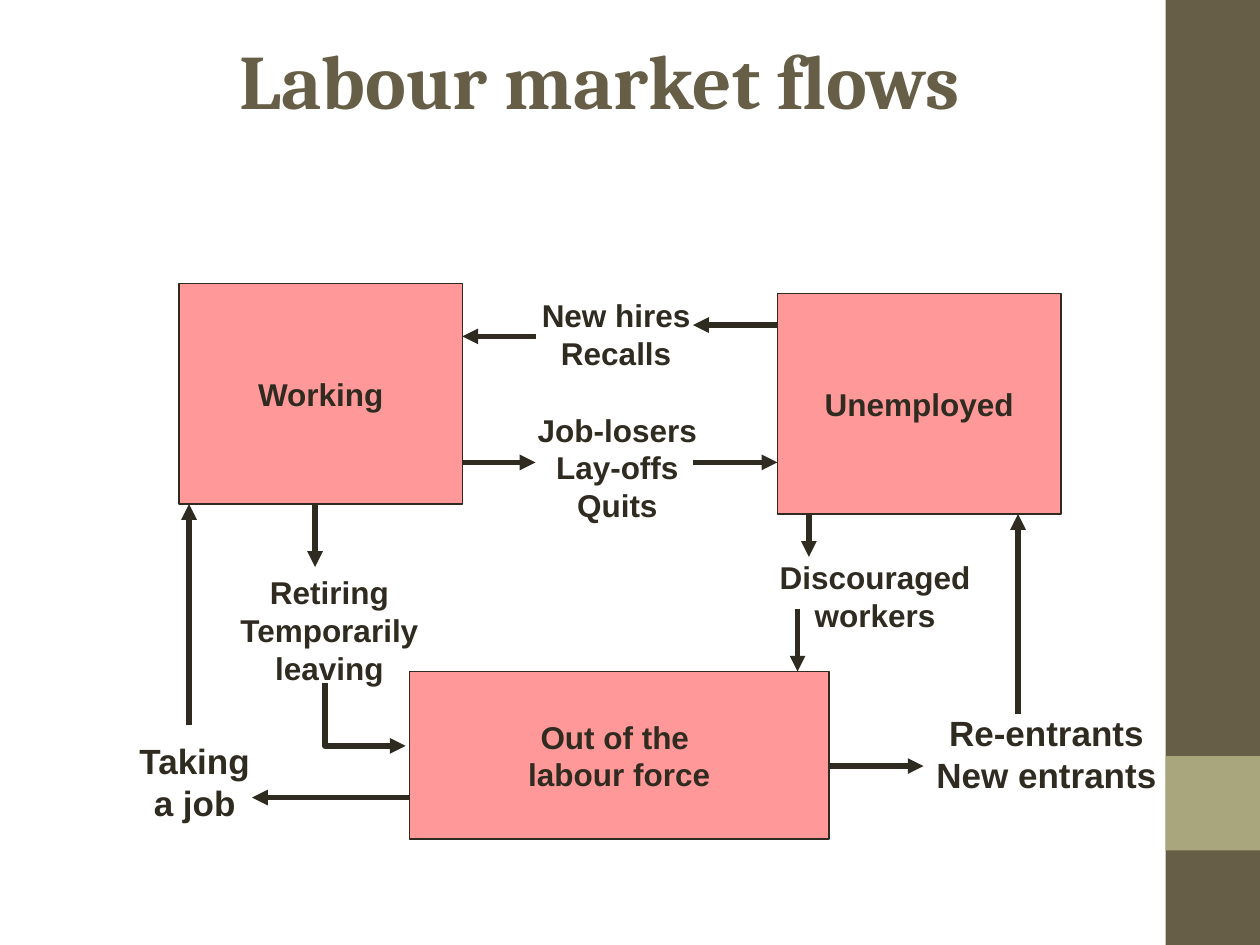
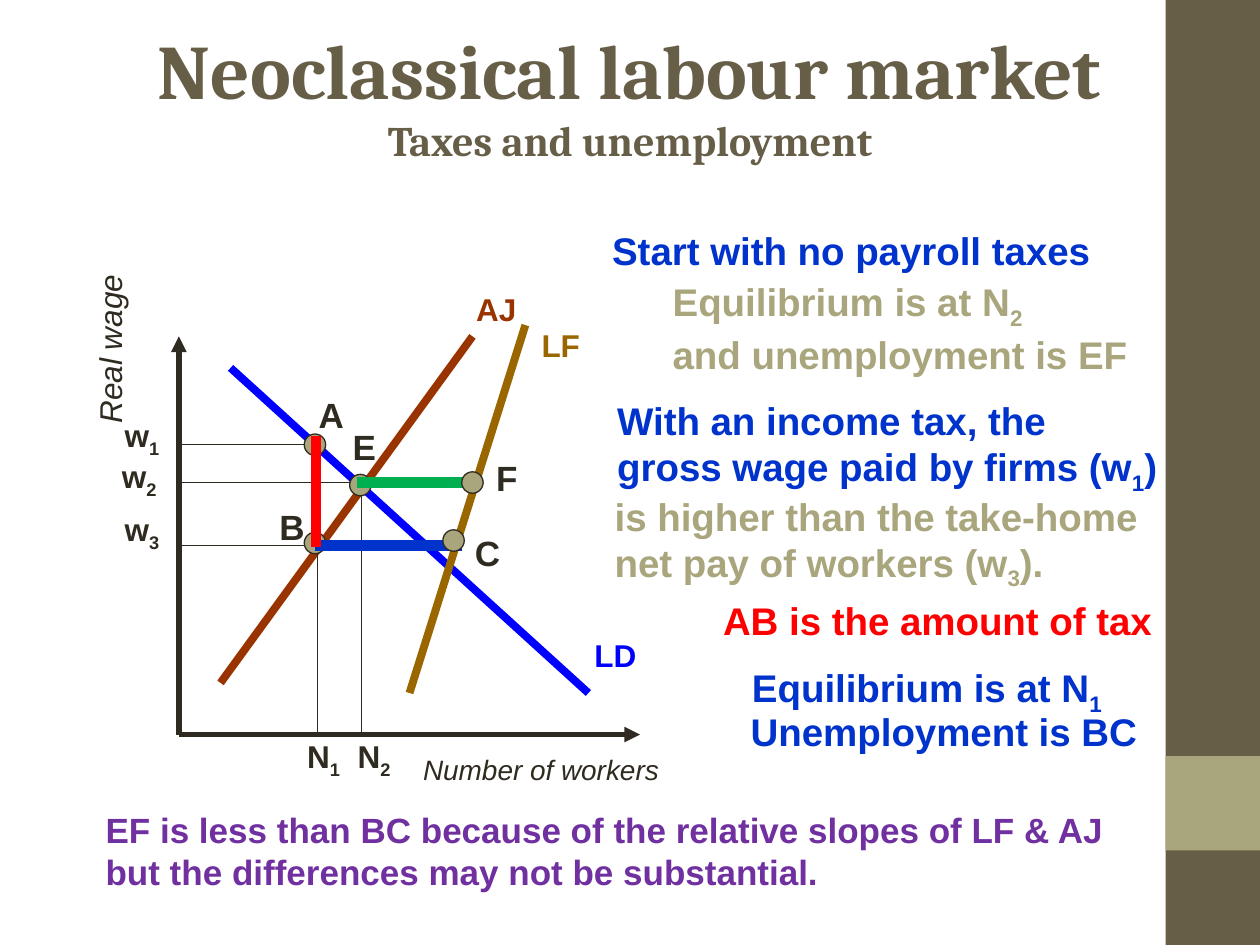
from dataclasses import dataclass

from lxml.etree import SubElement
from pptx import Presentation
from pptx.dml.color import RGBColor
from pptx.enum.shapes import MSO_CONNECTOR as Connector, MSO_SHAPE as Shape
from pptx.enum.text import MSO_ANCHOR as Anchor, PP_ALIGN as Align
from pptx.oxml.ns import qn
from pptx.slide import Slide
from pptx.util import Inches, Pt

COLORS = {
    "ink": "2F2B20", "brown": "675E47", "sage": "A9A57C", "pink": "FF9999",
    "demand": "0000FF", "force": "996600", "accept": "993300",
    "blue": "0033CC", "green": "00B050", "red": "FF0000", "purple": "7030A0",
}
BODY_FONT, TITLE_FONT = "Arial", "Cambria"
DOT = 0.17
SLACK = 0.2  # spare label width, so that no line breaks


def rgb(color):
    return RGBColor.from_string(COLORS[color])


def write(frame, lines, sizes, color, font=BODY_FONT, align=Align.LEFT, italic=False):
    """Write one paragraph per line; an underscore lowers the next character."""
    for number, (line, size) in enumerate(zip(lines, sizes)):
        paragraph = frame.paragraphs[0] if number == 0 else frame.add_paragraph()
        paragraph.alignment = align
        head, *lowered = line.split("_")
        pieces = [(head, False)]
        for part in lowered:
            pieces += [(part[0], True), (part[1:], False)]
        for text, is_subscript in pieces:
            if not text:
                continue
            run = paragraph.add_run()
            run.text = text
            run.font.name, run.font.size = font, Pt(size)
            run.font.bold, run.font.italic = not italic, italic
            run.font.color.rgb = rgb(color)
            if is_subscript:
                run.font._element.set("baseline", "-25000")


@dataclass
class Region:
    """An area of a slide; every part is placed from its top left corner."""
    slide: Slide
    left: float
    top: float

    def at(self, x, y):
        return Inches(self.left + x), Inches(self.top + y)

    def label(self, x, y, width, height, lines, size=18, color="ink",
              align=Align.LEFT, italic=False):
        if align == Align.CENTER:
            x -= SLACK / 2
        label = self.slide.shapes.add_textbox(
            *self.at(x, y), Inches(width + SLACK), Inches(height))
        label.text_frame.word_wrap = True
        write(label.text_frame, lines, [size] * len(lines), color, align=align, italic=italic)
        return label

    def block(self, x, y, width, height, fill, kind=Shape.RECTANGLE, outline=None):
        block = self.slide.shapes.add_shape(kind, *self.at(x, y), Inches(width), Inches(height))
        block.shadow.inherit = False
        block.fill.solid()
        block.fill.fore_color.rgb = rgb(fill)
        if outline:
            block.line.color.rgb = rgb(outline)
            block.line.width = Pt(0.75)
        else:
            block.line.fill.background()
        return block

    def dot(self, x, y):
        self.block(x - DOT / 2, y - DOT / 2, DOT, DOT, "sage", Shape.OVAL, "ink")

    def line(self, x1, y1, x2, y2, color="ink", width=3.0, arrow=False,
             kind=Connector.STRAIGHT):
        line = self.slide.shapes.add_connector(kind, *self.at(x1, y1), *self.at(x2, y2))
        line.line.color.rgb = rgb(color)
        line.line.width = Pt(width)
        if arrow:
            SubElement(line.line._get_or_add_ln(), qn("a:tailEnd"), type="triangle")
        SubElement(line._element.spPr, qn("a:effectLst"))
        return line

    def down_then_right(self, x1, y1, x2, y2):
        """Elbow arrow: a one-corner connector, mirrored and turned by 270 degrees."""
        middle_x, middle_y = (x1 + x2) / 2, (y1 + y2) / 2
        half_width, half_height = (y2 - y1) / 2, (x2 - x1) / 2
        elbow = self.line(middle_x + half_width, middle_y - half_height,
                          middle_x - half_width, middle_y + half_height,
                          arrow=True, kind=Connector.ELBOW)
        properties = elbow._element.spPr
        properties.find(qn("a:xfrm")).set("rot", "16200000")
        properties.find(qn("a:prstGeom")).set("prst", "bentConnector2")


def side_band(slide):
    band = Region(slide, 9.25, 0)
    band.block(0, 0, 0.75, 7.5, "brown")
    band.block(0, 6, 0.75, 0.75, "sage")


def title(slide, left, top, lines):
    heading = slide.shapes.add_textbox(Inches(left), Inches(top), Inches(8.5), Inches(1.21))
    heading.text_frame.word_wrap = True
    write(heading.text_frame, lines, [44, 24], "brown", TITLE_FONT, Align.CENTER)


def flow_diagram(slide, left, top):
    flows = Region(slide, left, top)

    # Labour market states
    states = [
        (0.42, 0, 2.25, 1.75, ["Working"]),
        (5.17, 0.08, 2.25, 1.75, ["Unemployed"]),
        (2.25, 3.08, 3.33, 1.33, ["Out of the ", "labour force"]),
    ]
    for *box, lines in states:
        state = flows.block(*box, "pink", outline="ink")
        state.text_frame.word_wrap = False
        state.text_frame.vertical_anchor = Anchor.MIDDLE
        write(state.text_frame, lines, [18] * len(lines), "ink", align=Align.CENTER)

    # Reasons for moving between states
    reasons = [
        (0, 3.57, 1.09, 0.77, ["Taking", "a job"], 20),
        (0.8, 2.25, 1.63, 1, ["Retiring", "Temporarily", "leaving"], 18),
        (3.2, 0.05, 1.38, 0.7, ["New hires", "Recalls"], 18),
        (3.17, 0.96, 1.46, 1, ["Job-losers", "Lay-offs", "Quits"], 18),
        (6.33, 3.35, 1.95, 0.77, ["Re-entrants", "New entrants"], 20),
        (5.09, 2.13, 1.71, 0.7, ["Discouraged", "workers"], 18),
    ]
    for reason in reasons:
        flows.label(*reason, align=Align.CENTER)

    # Arrows
    arrows = [
        (2.25, 4.08, 1, 4.08), (0.5, 3.5, 0.5, 1.75),          # taking a job
        (1.5, 1.75, 1.5, 2.25),                                # retiring
        (2.67, 1.42, 3.25, 1.42), (4.5, 1.42, 5.17, 1.42),     # losing a job
        (5.17, 0.33, 4.5, 0.33), (3.25, 0.42, 2.67, 0.42),     # new hires
        (5.42, 1.83, 5.42, 2.17), (5.33, 2.58, 5.33, 3.08),    # discouraged
        (5.58, 3.83, 6.33, 3.83), (7.08, 3.42, 7.08, 1.83),    # entrants
    ]
    for arrow in arrows:
        flows.line(*arrow, arrow=True)
    flows.down_then_right(1.58, 3.17, 2.22, 3.67)


def wage_graph(slide, left, top):
    graph = Region(slide, left, top)
    floor = 3.16

    # Axes
    graph.line(0, floor, 3.66, floor, arrow=True)
    graph.line(0, floor, 0, 0, arrow=True)
    graph.label(1.84, 3.25, 2.07, 0.37, ["Number of workers"], 16, italic=True)
    graph.label(-1.34, -0.2, 1.38, 0.4, ["Real wage"], italic=True).rotation = 270

    # Curves with their names
    curves = [
        ("LD", "demand", (0.41, 0.25, 3.25, 2.83), (3.2, 2.33, 0.53)),
        ("LF", "force", (1.83, 2.83, 2.75, -0.09), (2.78, -0.13, 0.5)),
        ("AJ", "accept", (0.33, 2.75, 2.33, 0), (2.26, -0.42, 0.52)),
    ]
    for name, color, ends, place in curves:
        graph.line(*ends, color, 4.5)
        graph.label(*place, 0.4, [name], color=color)

    # Guide lines to the axes
    guides = [
        (0, 0.86, 1.08, 0.86), (0, 1.16, 2.33, 1.16), (0, 1.66, 2.25, 1.66),
        (1.1, floor, 1.1, 0.91), (1.45, floor, 1.45, 1.16),
    ]
    for guide in guides:
        graph.line(*guide, width=0.75)
    ticks = [("w_1", -0.53, 0.58), ("w_2", -0.55, 0.91), ("w_3", -0.53, 1.33),
             ("N_1", 0.92, 3.13), ("N_2", 1.32, 3.13)]
    for name, x, y in ticks:
        graph.label(x, y, 0.47, 0.44, [name])

    # Points and the gaps between them, from back to front
    for point in [(1.44, 1.18), (1.08, 0.86), (1.08, 1.64)]:
        graph.dot(*point)
    graph.line(1.08, 1.66, 2.25, 1.66, "blue", 6)
    graph.dot(2.18, 1.62)
    graph.line(1.41, 1.16, 2.33, 1.16, "green", 6)
    graph.dot(2.33, 1.16)
    graph.line(1.09, 0.79, 1.09, 1.67, "red", 6)
    names = [("A", 1.01, 0.4), ("B", 0.7, 1.29), ("C", 2.25, 1.5),
             ("E", 1.28, 0.66), ("F", 2.42, 0.9)]
    for name, x, y in names:
        graph.label(x, y, 0.4, 0.44, [name], 20)


def tax_argument(slide, left, top):
    argument = Region(slide, left, top)
    steps = [
        (0, 0, 4.51, 0.47, "blue", ["Start with no payroll taxes"]),
        (0.48, 0.41, 4.09, 0.89, "sage",
         ["Equilibrium is at N_2", "and unemployment is EF"]),
        (0.04, 1.35, 4.48, 0.89, "blue",
         ["With an income tax, the", "gross wage paid by firms (w_1)"]),
        (0.02, 2.11, 4.43, 0.89, "sage",
         ["is higher than the take-home", "net pay of workers (w_3)."]),
        (0.88, 2.94, 3.6, 0.47, "red", ["AB is the amount of tax"]),
        (1.11, 3.47, 2.97, 0.52, "blue", ["Equilibrium is at N_1"]),
        (1.1, 3.82, 3.26, 0.47, "blue", ["Unemployment is BC"]),
    ]
    for *box, color, lines in steps:
        argument.label(*box, lines, 22, color)


def conclusion(slide, left, top):
    Region(slide, left, top).label(
        0, 0, 8.13, 0.77,
        ["EF is less than BC because of the relative slopes of LF & AJ",
         "but the differences may not be substantial."], 20, "purple")


def add_slide(deck):
    slide = deck.slides.add_slide(deck.slide_layouts[6])
    side_band(slide)
    return slide


def main():
    deck = Presentation()
    deck.slide_width, deck.slide_height = Inches(10), Inches(7.5)

    flows_slide = add_slide(deck)
    title(flows_slide, 0.51, 0.21, ["Labour market flows"])
    flow_diagram(flows_slide, 1, 2.25)

    tax_slide = add_slide(deck)
    title(tax_slide, 0.75, 0.13, ["Neoclassical labour market", "Taxes and unemployment"])
    wage_graph(tax_slide, 1.42, 2.67)
    tax_argument(tax_slide, 4.76, 1.75)
    conclusion(tax_slide, 0.74, 6.37)

    deck.save("out.pptx")


if __name__ == "__main__":
    main()
